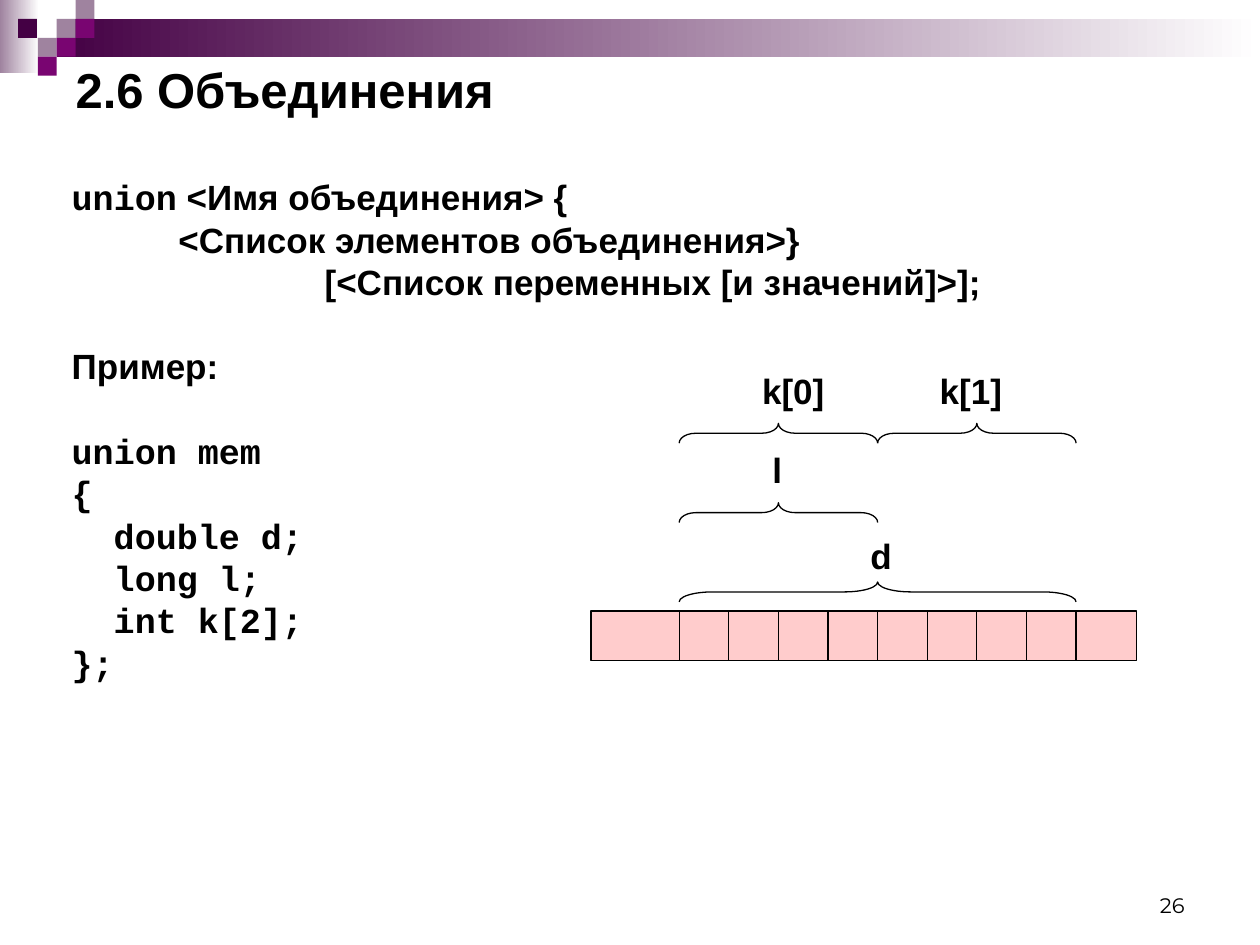
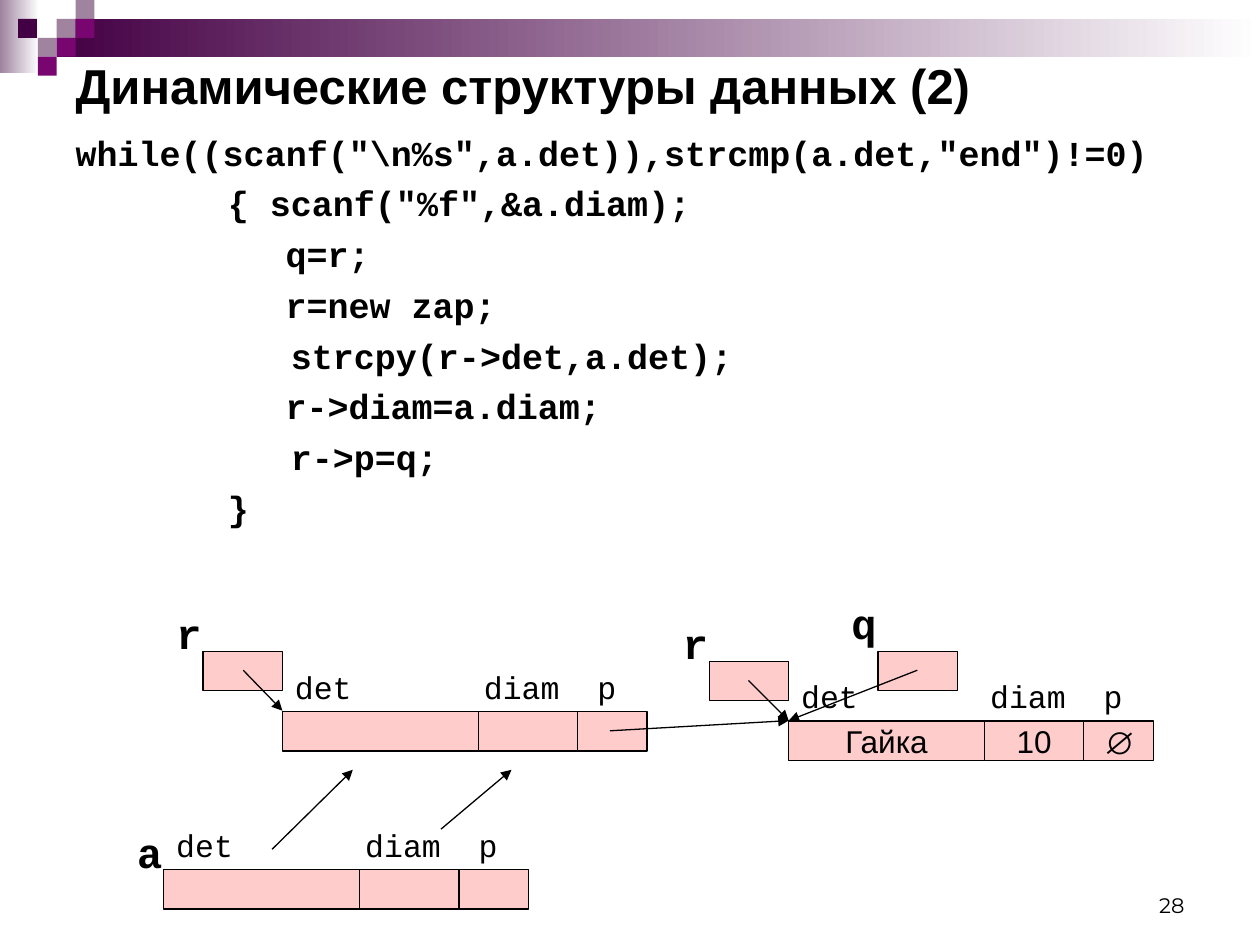
from pptx import Presentation
from pptx.dml.color import RGBColor
from pptx.enum.shapes import MSO_CONNECTOR as Link, MSO_SHAPE as Kind
from pptx.enum.text import MSO_ANCHOR as Anchor, MSO_AUTO_SIZE as Fit, PP_ALIGN as Align
from pptx.oxml.ns import qn
from pptx.util import Pt
from lxml.etree import SubElement as sub

HUES = {"ink": "000000", "dark": "440044", "plum": "790571",
        "mauve": "9F839F", "white": "FFFFFF", "pink": "FFCCCC"}
SANS, MONO, NUM = "Arial", "Courier New", "Montserrat"
THIN = 0.75

# Header: gradient bands, then small squares (left, top, hue)
BANDS = [((0, 0, 22.3, 41.8), "mauve"), ((32.4, 10.8, 687.6, 21.6), "dark")]
TILE = 10.8
TILES = [(32.4, 10.8, "mauve"), (43.2, 0, "mauve"), (43.2, 10.8, "plum"),
         (21.6, 21.6, "mauve"), (10.3, 10.8, "dark"), (32.4, 21.6, "plum"),
         (21.6, 32.4, "plum")]

# Body lines: (runs, indent, space before); a run is (text, font)
GAP, SKIP = 5, 29
UNION = [
    ([("union", MONO), (" <Имя объединения> {", SANS)], 0, GAP),
    ([("<Список элементов объединения>}", SANS)], 61, GAP),
    ([("[<Список переменных [и значений]>];", SANS)], 144.5, GAP),
    ([("Пример:", SANS)], 0, SKIP),
    ([("union mem", MONO)], 0, SKIP),
    ([("{", MONO)], 0, GAP),
    ([("double d;", MONO)], 24, GAP),
    ([("long l;", MONO)], 24, GAP),
    ([("int k[2];", MONO)], 24, GAP),
    ([("};", MONO)], 0, GAP),
]
LOOP = [([(text, MONO)], indent, GAP) for text, indent in [
    ('while((scanf("\\n%s",a.det)),strcmp(a.det,"end")!=0)', 0),
    ('{ scanf("%f",&a.diam);', 87),
    ("q=r;", 120),
    ("r=new zap;", 120),
    ("strcpy(r->det,a.det);", 123),
    ("r->diam=a.diam;", 120),
    ("r->p=q;", 123),
    ("}", 87),
]]

# Memory bar: eight byte cells; braces are (first byte, bytes, top)
BAR = (337.7, 349.2, 311.8, 28.35)
BYTE, START, BYTES = 28.35, 388.1, 8
BRACES = [(0, 8, 332.6), (0, 4, 287.3), (0, 4, 241.9), (4, 4, 241.9)]
MARKS = [("d", 490.3, 301.7, 28), ("l", 434.2, 252.7, 21),
         ("k[0]", 428.4, 207.4, 53), ("k[1]", 529.9, 207.4, 53)]

# Linked list: record = (left, top, cell texts), pointer = (name, left, top, rise)
FIELDS, STOPS = "det\tdiam\tp", (108, 172.8)
CELLS = (111.9, 56.7, 39.7)
RECORDS = [(161.4, 406.4, ("", "", "")), (93.6, 496.8, ("", "", "")),
           (450.7, 412, ("Гайка", "10", ""))]
POINTERS = [("r", 116, 372.2, 28.8), ("r", 405.4, 378, 28.8), ("q", 501.8, 372.2, 34.5)]
OWNER = ("a", 71.3, 468.7)
EMPTY = ("∅", (628.6, 415.4, 22.3, 17.3))
ARROWS = [(139, 383, 161.4, 406.1), (427.7, 388.8, 450.7, 411.8),
          (524.2, 383, 450.7, 411.8), (348.5, 417.6, 450.7, 411.8),
          (155.5, 485.3, 201.6, 439.9), (252, 473.8, 292.3, 439.9)]


def tint(hue):
    """Return the named colour."""
    return RGBColor.from_string(HUES[hue])


def pts(nums):
    """Turn numbers into point lengths."""
    return [Pt(n) for n in nums]


def style(run, size, face=SANS, bold=False):
    """Format one run in black."""
    font = run.font
    font.size, font.name, font.bold = Pt(size), face, bold
    font.color.rgb = tint("ink")


def box(slide, area, hue, edge=True, text="", bold=False):
    """Draw a filled rectangle, with centred text if any."""
    rect = slide.shapes.add_shape(Kind.RECTANGLE, *pts(area))
    rect.shadow.inherit = False
    rect.fill.solid()
    rect.fill.fore_color.rgb = tint(hue)
    if edge:
        rect.line.color.rgb = tint("ink")
        rect.line.width = Pt(THIN)
    else:
        rect.line.fill.background()
    if text:
        frame = rect.text_frame
        frame.text, frame.word_wrap = text, False
        frame.vertical_anchor = Anchor.MIDDLE
        frame.paragraphs[0].alignment = Align.CENTER
        style(frame.paragraphs[0].runs[0], 18, bold=bold)
    return rect


def label(slide, text, area, size, face=SANS, bold=True, wrap=False):
    """Add a one-line text box and return its paragraph."""
    frame = slide.shapes.add_textbox(*pts(area)).text_frame
    frame.text, frame.word_wrap = text, wrap
    style(frame.paragraphs[0].runs[0], size, face, bold)
    return frame.paragraphs[0]


def line(slide, ends, arrow=False):
    """Draw a thin straight line, with an arrowhead at its end if asked."""
    link = slide.shapes.add_connector(Link.STRAIGHT, *pts(ends))
    link.line.color.rgb = tint("ink")
    link.line.width = Pt(THIN)
    props = link._element.spPr
    if arrow:
        sub(props.find(qn("a:ln")), qn("a:tailEnd"), type="triangle")
    sub(props, qn("a:effectLst"))


def brace(slide, first, count, top):
    """Draw a brace above a run of bytes, its tip up."""
    deep, span = 11.3, count * BYTE
    mid = START + first * BYTE + span / 2
    area = (mid - deep / 2, top + deep / 2 - span / 2, deep, span)
    curve = slide.shapes.add_shape(Kind.LEFT_BRACE, *pts(area))
    curve.rotation = 90
    curve.adjustments[0] = span / deep / 12
    curve.shadow.inherit = False
    curve.fill.background()
    curve.line.color.rgb = tint("ink")
    curve.line.width = Pt(THIN)


def place(shape, area):
    """Move a placeholder and keep its text size fixed."""
    shape.left, shape.top, shape.width, shape.height = pts(area)
    shape.text_frame.auto_size = Fit.NONE
    return shape.text_frame


def header(slide):
    """Draw the gradient bands and squares."""
    for area, hue in BANDS:
        fill = box(slide, area, hue, False).fill
        fill.gradient()
        fill.gradient_angle = 0
        for stop, name, spot in zip(fill.gradient_stops, (hue, "white"), (0, 1)):
            stop.color.rgb, stop.position = tint(name), spot
    for left, top, hue in TILES:
        box(slide, (left, top, TILE, TILE), hue, False)


def page(deck, title, head, lines, body, tight, number):
    """Make a slide with header, title, body lines and page number."""
    slide = deck.slides.add_slide(deck.slide_layouts[1])
    header(slide)
    foot = label(slide, number, (516.2, 491.8, 167.8, 36), 12, NUM, False, True)
    foot.alignment = Align.RIGHT
    foot._parent.vertical_anchor = Anchor.BOTTOM
    frame = place(slide.shapes.title, head)
    frame.text, frame.vertical_anchor = title, Anchor.MIDDLE
    frame.paragraphs[0].alignment = Align.LEFT
    style(frame.paragraphs[0].runs[0], 28, bold=True)
    frame = place(slide.placeholders[1], body)
    for i, (runs, indent, before) in enumerate(lines):
        para = frame.add_paragraph() if i else frame.paragraphs[0]
        para.line_spacing, para.space_before = tight, Pt(before)
        props = para._p.get_or_add_pPr()
        props.set("marL", str(Pt(indent)))
        props.set("indent", "0")
        sub(props, qn("a:buNone"))
        for text, face in runs:
            run = para.add_run()
            run.text = text
            style(run, 20, face, True)
    return slide


def memory(slide):
    """Draw the memory bar with its braces and marks."""
    box(slide, BAR, "pink")
    top, low = BAR[1], BAR[1] + BAR[3]
    for i in range(BYTES + 1):
        x = START + i * BYTE
        line(slide, (x, top, x, low))
    for item in BRACES:
        brace(slide, *item)
    for text, left, high, wide in MARKS:
        label(slide, text, (left, high, wide, 31.7), 20)


def record(slide, left, top, texts):
    """Draw a record: field names over three cells."""
    para = label(slide, FIELDS, (left, top - 28.4, 209.5, 28.8), 18, MONO, False, True)
    tabs = sub(para._p.get_or_add_pPr(), qn("a:tabLst"))
    for stop in STOPS:
        sub(tabs, qn("a:tab"), pos=str(Pt(stop)), algn="l")
    for wide, text in zip(CELLS, texts):
        box(slide, (left, top, wide, 22.7), "pink", text=text)
        left += wide


def chain(slide):
    """Draw the records, pointers and arrows of the list."""
    for item in RECORDS:
        record(slide, *item)
    for name, left, top, rise in POINTERS:
        box(slide, (left, top, 45.4, 22.4), "pink")
        label(slide, name, (left - 22.3, top - rise, 28.8, 36), 24, MONO)
    name, left, top = OWNER
    label(slide, name, (left, top, 28.8, 36), 24, MONO)
    for ends in ARROWS:
        line(slide, ends, True)
    sign, area = EMPTY
    box(slide, area, "pink", False, sign, True)


deck = Presentation()
deck.slide_width, deck.slide_height = Pt(720), Pt(540)
memory(page(deck, "2.6 Объединения", (36, 36, 648, 29.5), UNION,
            (33.8, 101.5, 648, 334.8), 0.8, "26"))
chain(page(deck, "Динамические структуры данных (2)", (36, 31.7, 648, 33.8), LOOP,
           (36, 71.3, 648, 244), 1.0, "28"))
deck.save("out.pptx")
